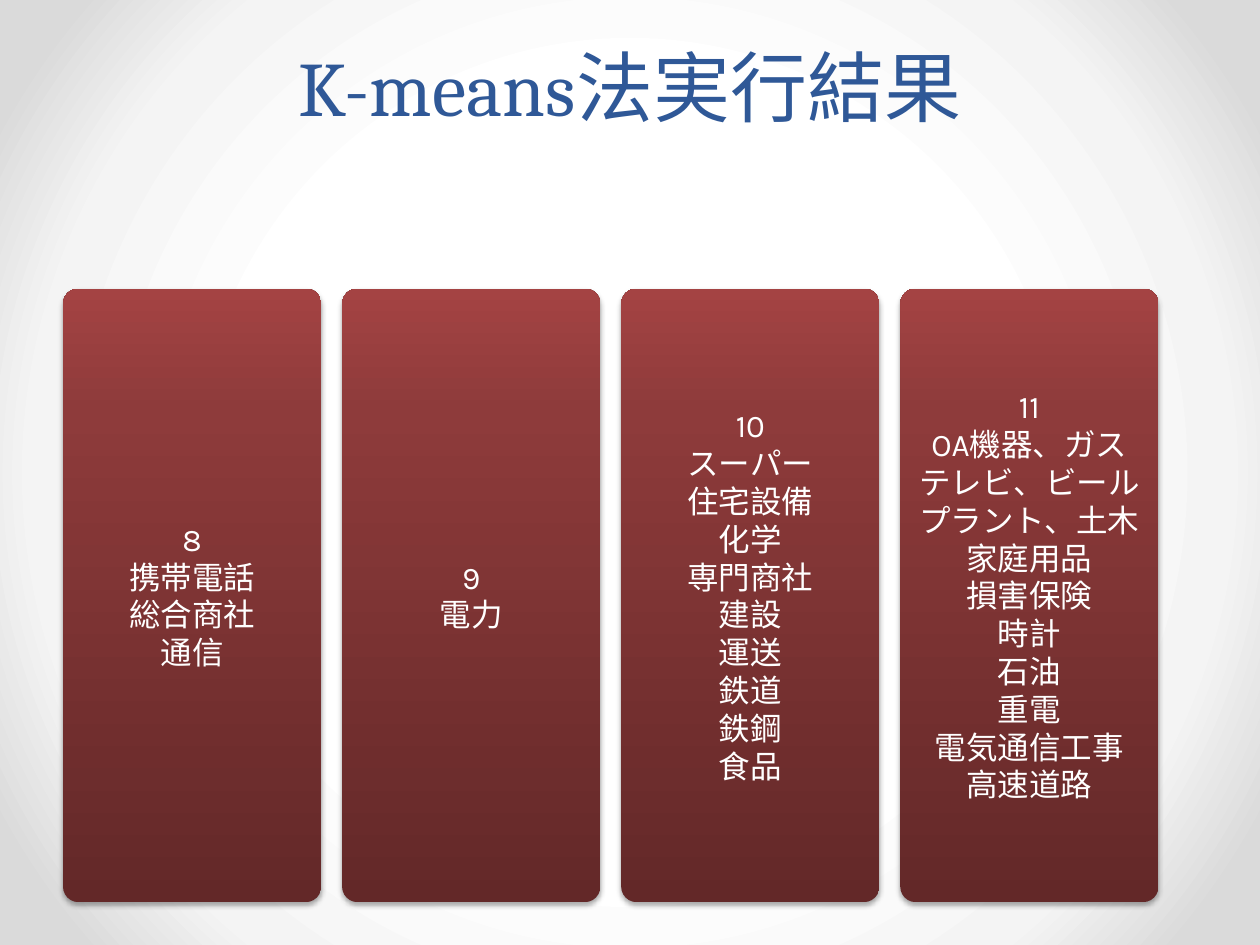
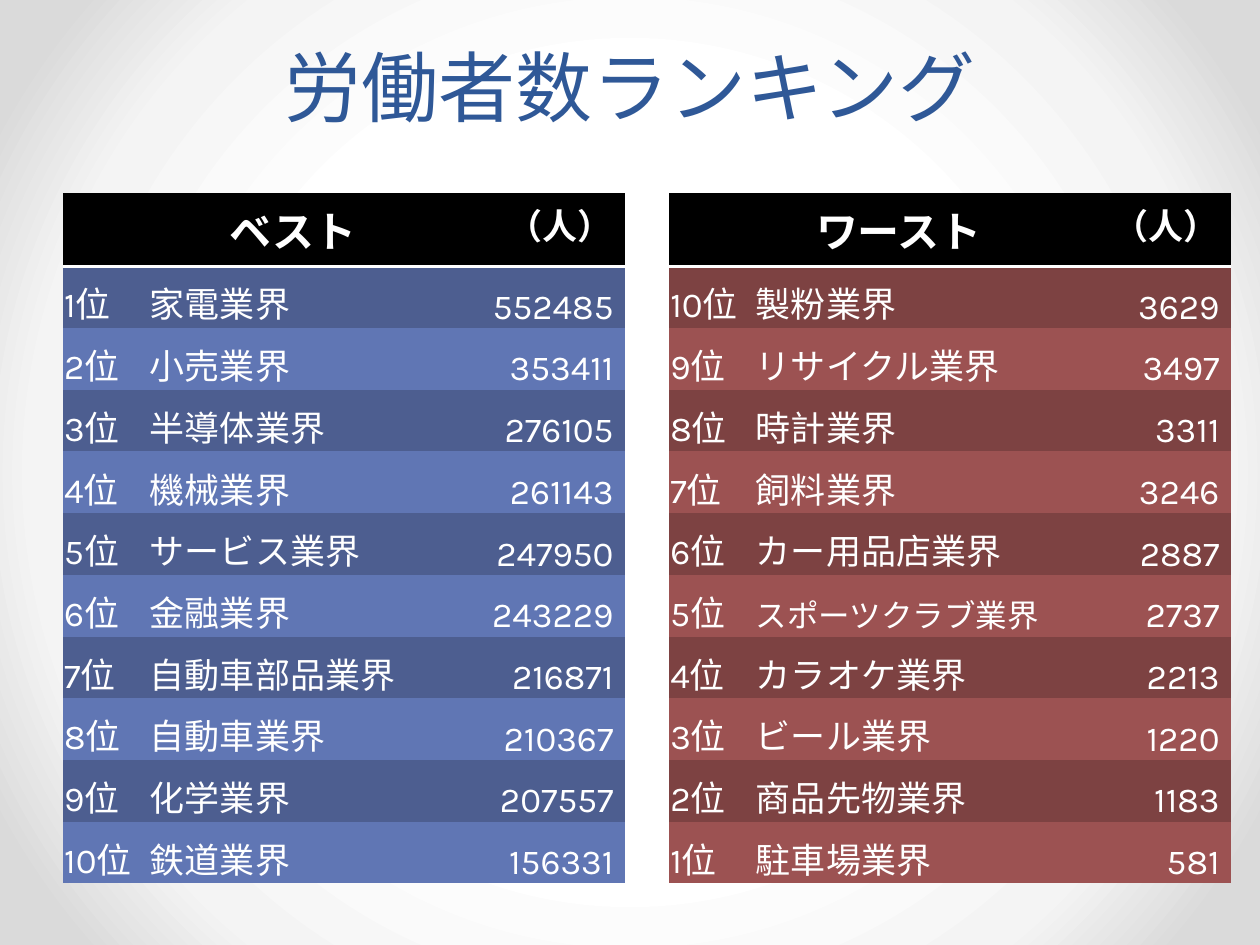
from lxml import etree
from pptx import Presentation
from pptx.dml.color import RGBColor
from pptx.enum.shapes import MSO_SHAPE
from pptx.enum.text import MSO_ANCHOR, PP_ALIGN
from pptx.oxml import parse_xml
from pptx.oxml.ns import nsdecls, qn
from pptx.util import Inches, Pt

COLORS = {
    "title": "2F5897", "white": "FFFFFF", "header": "000000",
    "bg_mid": "F4F4F4", "bg_edge": "DADADA",
    "card_low": "632828", "card_mid": "8E3B3B", "card_top": "A44343",
    "blue_dark": "4D5E90", "blue": "6076B4",
    "red_dark": "7D4242", "red": "9C5252",
}
FONT = "Karla"
LEFT = 0.5
NO_GRID_STYLE = "{2D5ABB26-0587-4C30-8999-92F81FD0307C}"

CLUSTERS = [
    ["8", "携帯電話", "総合商社", "通信"],
    ["9", "電力"],
    ["10", "スーパー", "住宅設備", "化学", "専門商社", "建設", "運送", "鉄道",
     "鉄鋼", "食品"],
    ["11", "OA機器、ガス", "テレビ、ビール", "プラント、土木", "家庭用品",
     "損害保険", "時計", "石油", "重電", "電気通信工事", "高速道路"],
]
BEST = [
    ("家電業界", 552485), ("小売業界", 353411), ("半導体業界", 276105),
    ("機械業界", 261143), ("サービス業界", 247950), ("金融業界", 243229),
    ("自動車部品業界", 216871), ("自動車業界", 210367),
    ("化学業界", 207557), ("鉄道業界", 156331),
]
WORST = [
    ("製粉業界", 3629), ("リサイクル業界", 3497), ("時計業界", 3311),
    ("飼料業界", 3246), ("カー用品店業界", 2887),
    ("スポーツクラブ業界", 2737), ("カラオケ業界", 2213),
    ("ビール業界", 1220), ("商品先物業界", 1183), ("駐車場業界", 581),
]


def rgb(name):
    return RGBColor.from_string(COLORS[name])


def set_gradient(fill, parent, stops, direction):
    """Give parent's fill the (position, colour) stops and direction XML."""
    fill.gradient()
    grad = parent.find(".//" + qn("a:gradFill"))
    stop_xml = "".join(
        f'<a:gs pos="{pos * 1000}"><a:srgbClr val="{COLORS[color]}"/></a:gs>'
        for pos, color in stops)
    new = parse_xml(f'<a:gradFill {nsdecls("a")} rotWithShape="1">'
                    f'<a:gsLst>{stop_xml}</a:gsLst>{direction}</a:gradFill>')
    grad.getparent().replace(grad, new)


def set_background(master):
    set_gradient(
        master.background.fill, master.background._cSld,
        [(50, "white"), (76, "bg_mid"), (92, "bg_edge")],
        '<a:path path="circle"><a:fillToRect l="50000" t="50000" '
        'r="50000" b="50000"/></a:path>')


def add_run(p, text, size, color="white", font=FONT, bold=False):
    r = p.add_run()
    r.text = text
    style = {"name": font, "size": Pt(size), "bold": bold}
    for key, value in style.items():
        setattr(r.font, key, value)
    r.font.color.rgb = rgb(color)


def add_titled_slide(prs, *runs):
    """Add a slide whose title is made of (text, font) runs."""
    s = prs.slides.add_slide(prs.slide_layouts[5])
    title = s.shapes.title
    box = {"left": LEFT, "top": 0, "width": 9, "height": 1.1}
    for key, value in box.items():
        setattr(title, key, Inches(value))
    tf = title.text_frame
    tf.vertical_anchor = MSO_ANCHOR.BOTTOM
    p = tf.paragraphs[0]
    p.alignment = PP_ALIGN.CENTER
    p.line_spacing = Pt(58)
    for text, font in runs:
        add_run(p, text, 44, "title", font)
    return s


def add_shadow(shape):
    shape.shadow.inherit = False
    effects = shape._element.spPr.find(qn("a:effectLst"))
    shadow = etree.SubElement(effects, qn("a:outerShdw"), blurRad=str(Pt(3.1)),
                              dist=str(Pt(1.8)), dir="5400000",
                              rotWithShape="0")
    color = etree.SubElement(shadow, qn("a:srgbClr"), val="000000")
    etree.SubElement(color, qn("a:alpha"), val="35000")


def add_cluster_card(s, column, lines):
    width, pitch = 2.05, 2.215
    card = s.shapes.add_shape(
        MSO_SHAPE.ROUNDED_RECTANGLE, Inches(LEFT + column * pitch),
        Inches(2.29), Inches(width), Inches(4.87))
    card.adjustments[0] = 0.06
    set_gradient(card.fill, card._element.spPr,
                 [(0, "card_low"), (80, "card_mid"), (100, "card_top")],
                 '<a:lin ang="16200000" scaled="0"/>')
    card.line.fill.background()
    add_shadow(card)
    tf = card.text_frame
    tf.word_wrap = True
    tf.vertical_anchor = MSO_ANCHOR.MIDDLE
    for i, line in enumerate(lines):
        p = tf.add_paragraph() if i else tf.paragraphs[0]
        p.alignment = PP_ALIGN.CENTER
        add_run(p, line, 18)


def fill_cell(cell, color, text="", size=20, align=PP_ALIGN.LEFT, bold=False):
    cell.fill.solid()
    cell.fill.fore_color.rgb = rgb(color)
    if text:
        p = cell.text_frame.paragraphs[0]
        p.alignment = align
        add_run(p, text, size, bold=bold)


def underline_cell(cell):
    cell._tc.get_or_add_tcPr().insert(0, parse_xml(
        f'<a:lnB {nsdecls("a")} w="{Pt(2)}"><a:solidFill>'
        f'<a:srgbClr val="{COLORS["white"]}"/></a:solidFill></a:lnB>'))


def set_margins(cell, right):
    margins = {"left": 0.01, "top": 0.01, "right": right, "bottom": 0}
    for side, value in margins.items():
        setattr(cell, f"margin_{side}", Inches(value))


def add_ranking(s, left, heading, ranks, entries, bands):
    widths = [0.68, 2.29, 1.49]
    heights = [0.52] + [0.49] * len(entries)
    table = s.shapes.add_table(
        len(heights), len(widths), Inches(left), Inches(1.53),
        Inches(sum(widths)), Inches(sum(heights))).table
    table.first_row = table.horz_banding = False
    table._tbl.tblPr.find(qn("a:tableStyleId")).text = NO_GRID_STYLE
    for column, width in zip(table.columns, widths):
        column.width = Inches(width)
    for row, height in zip(table.rows, heights):
        row.height = Inches(height)

    headings = [("", 24, None), (heading, 24, PP_ALIGN.CENTER),
                ("（人）", 20, PP_ALIGN.RIGHT)]
    for col, (text, size, align) in enumerate(headings):
        cell = table.cell(0, col)
        fill_cell(cell, "header", text, size, align, bold=True)
        underline_cell(cell)

    for row, (rank, (industry, workers)) in enumerate(zip(ranks, entries), 1):
        for col, text in enumerate([f"{rank}位", industry, str(workers)]):
            cell = table.cell(row, col)
            is_number = col == 2
            fill_cell(cell, bands[(row - 1) % 2], text,
                      18 if len(text) > 8 else 20,
                      PP_ALIGN.RIGHT if is_number else PP_ALIGN.LEFT)
            cell.vertical_anchor = MSO_ANCHOR.BOTTOM
            set_margins(cell, right=0.09 if is_number else 0.01)


def main():
    prs = Presentation()
    prs.slide_width, prs.slide_height = Inches(10), Inches(7.5)
    set_background(prs.slide_master)

    s = add_titled_slide(prs, ("K-means", "Cambria"), ("法実行結果", FONT))
    for column, lines in enumerate(CLUSTERS):
        add_cluster_card(s, column, lines)

    s = add_titled_slide(prs, ("労働者数", "Arial"), ("ランキング", FONT))
    add_ranking(s, LEFT, "ベスト", range(1, 11), BEST, ("blue_dark", "blue"))
    add_ranking(s, 5.31, "ワースト", range(10, 0, -1), WORST,
                ("red_dark", "red"))

    prs.save("out.pptx")


if __name__ == "__main__":
    main()
